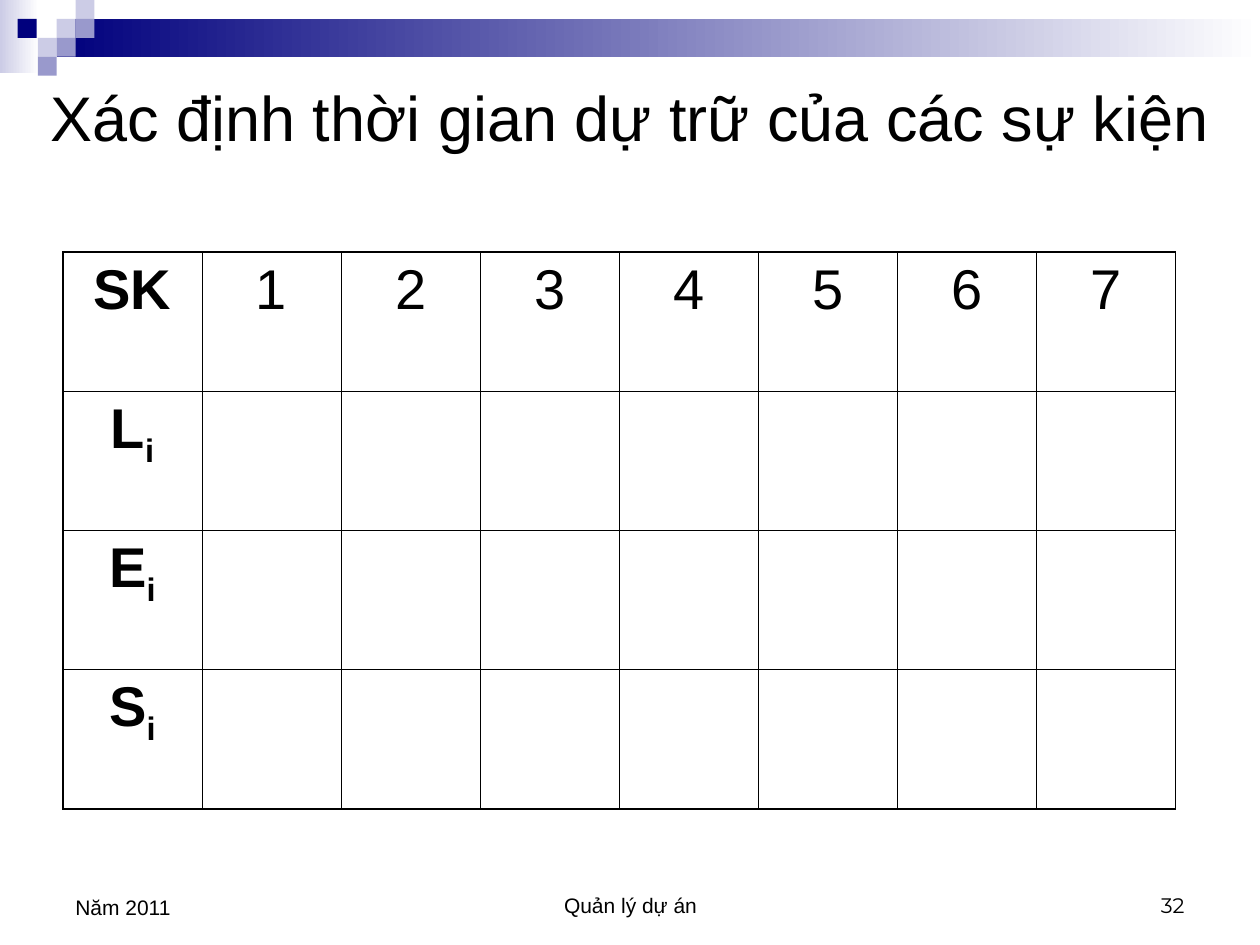
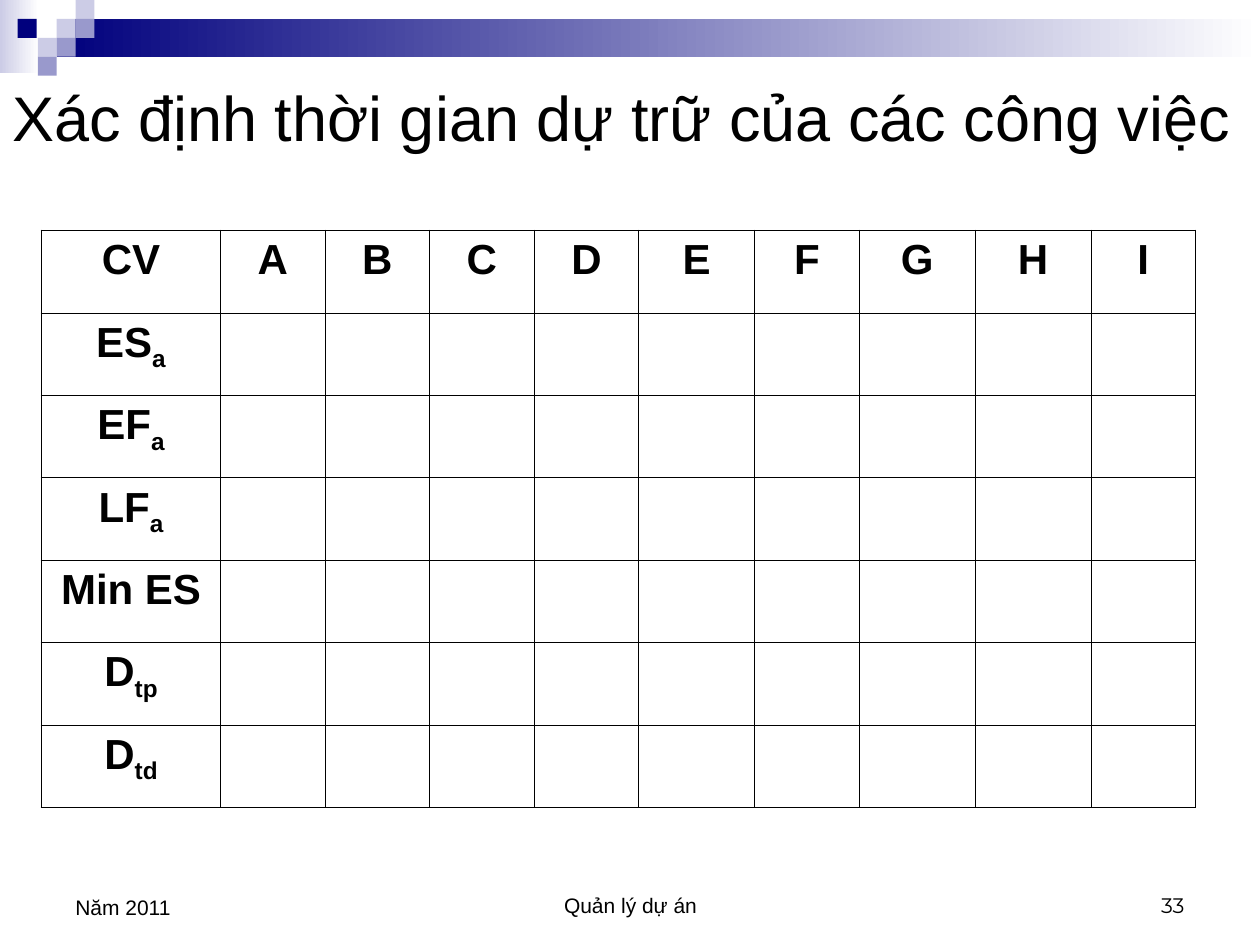
from dataclasses import dataclass

from lxml import etree
from pptx import Presentation
from pptx import util as u
from pptx.dml.color import RGBColor
from pptx.enum import shapes, text
from pptx.oxml import ns


@dataclass(frozen=True)
class Theme:
    ink: str = "000000"
    navy: str = "00007D"
    mid: str = "9999CC"
    pale: str = "CCCCE6"
    white: str = "FFFFFF"
    font: str = "Arial"
    digit: str = "Montserrat"
    title: int = 36
    foot: int = 12
    thick: float = 1.08
    thin: float = 0.45


THEME = Theme()
LEFT, MID, RIGHT = text.PP_ALIGN.LEFT, text.PP_ALIGN.CENTER, text.PP_ALIGN.RIGHT


def write(frame, words, size, font=THEME.font, bold=False, align=LEFT):
    """Write one paragraph; whatever follows an underscore is subscript."""
    para = frame.paragraphs[0]
    para.alignment = align
    for level, part in enumerate(words.split("_")):
        run = para.add_run()
        run.text = part
        run.font.size = u.Pt(size)
        run.font.name = font
        run.font.bold = bold
        run.font.color.rgb = RGBColor.from_string(THEME.ink)
        if level:
            run._r.get_or_add_rPr().set("baseline", "-25000")


def edge(cell, side, width):
    """Draw one border of a table cell."""
    props = cell._tc.get_or_add_tcPr()
    line = etree.SubElement(props, ns.qn(f"a:ln{side}"), w=str(u.Pt(width)))
    fill = etree.SubElement(line, ns.qn("a:solidFill"))
    etree.SubElement(fill, ns.qn("a:srgbClr"), val=THEME.ink)


class Deck:
    def __init__(self, theme):
        self.theme = theme
        self.prs = Presentation()
        self.prs.slide_width = u.Inches(10)
        self.prs.slide_height = u.Inches(7.5)
        self.slide = None

    def rect(self, box, color, fade=None):
        """Add a plain rectangle, fading to a second colour if one is given."""
        shape = self.slide.shapes.add_shape(
            shapes.MSO_SHAPE.RECTANGLE, *map(u.Inches, box))
        shape.shadow.inherit = False
        shape.line.fill.background()
        if fade:
            shape.fill.gradient()
            shape.fill.gradient_angle = 0
            for stop, tone in zip(shape.fill.gradient_stops, (color, fade)):
                stop.color.rgb = RGBColor.from_string(tone)
        else:
            shape.fill.solid()
            shape.fill.fore_color.rgb = RGBColor.from_string(color)

    def label(self, box, words, size, anchor, **style):
        frame = self.slide.shapes.add_textbox(*map(u.Inches, box)).text_frame
        frame.word_wrap = True
        frame.vertical_anchor = anchor
        write(frame, words, size, **style)

    def band(self):
        """Add the fading bars and the small squares at the top."""
        t = self.theme
        self.rect((0, 0, 0.31, 0.58), t.pale, t.white)
        self.rect((0.45, 0.15, 9.55, 0.3), t.navy, t.white)
        squares = ((0.45, 0.15, t.pale), (0.6, 0, t.pale), (0.6, 0.15, t.mid),
                   (0.3, 0.3, t.pale), (0.14, 0.15, t.navy),
                   (0.45, 0.3, t.mid), (0.3, 0.45, t.mid))
        for x, y, color in squares:
            self.rect((x, y, 0.15, 0.15), color)

    def footer(self, number):
        t, low = self.theme, text.MSO_ANCHOR.BOTTOM
        self.label((3.42, 6.83, 3.17, 0.5), "Quản lý dự án", t.foot, low,
                   align=MID)
        self.label((7.17, 6.83, 2.33, 0.5), str(number), t.foot, low,
                   font=t.digit, align=RIGHT)
        self.label((0.5, 6.83, 2.33, 0.52), "Năm 2011", t.foot, low)

    def page(self, title, number, align):
        """Start a slide with its band, footer and title."""
        self.slide = self.prs.slides.add_slide(self.prs.slide_layouts[6])
        self.band()
        self.footer(number)
        self.label((0, 0.17, 10, 1.5), title, self.theme.title,
                   text.MSO_ANCHOR.MIDDLE, align=align)

    def grid(self, left, top, height, widths, heads, names, size, bold):
        """Add a table to fill in: heads along the top, names down the side."""
        rows, cols = len(names), len(widths)
        box = map(u.Inches, (left, top, sum(widths), height))
        table = self.slide.shapes.add_table(rows, cols, *box).table
        table.first_row = table.horz_banding = False
        for col, width in zip(table.columns, widths):
            col.width = u.Inches(width)
        for r in range(rows):
            table.rows[r].height = u.Inches(height / rows)
            for c in range(cols):
                cell = table.cell(r, c)
                outer = {"L": c == 0, "R": c == cols - 1,
                         "T": r == 0, "B": r == rows - 1}
                for side, out in outer.items():
                    edge(cell, side, self.theme.thick if out else self.theme.thin)
                cell.fill.background()
                if c == 0:
                    write(cell.text_frame, names[r], size, bold=True, align=MID)
                elif r == 0:
                    write(cell.text_frame, heads[c - 1], size, bold=bold,
                          align=MID)


def main():
    deck = Deck(THEME)

    # Slack of the events
    deck.page("Xác định thời gian dự trữ của các sự kiện", 32, MID)
    deck.grid(0.5, 2, 4.42, [8.83 / 8] * 8, "1234567",
              ("SK", "L_i", "E_i", "S_i"), size=32, bold=False)

    # Slack of the tasks
    deck.page("Xác định thời gian dự trữ của các công việc", 33, LEFT)
    tasks = "ABCDEFGHI"
    widths = [1.42] + [0.92 if task in "EGH" else 0.83 for task in tasks]
    deck.grid(0.33, 1.83, 4.58, widths, tasks,
              ("CV", "ES_a", "EF_a", "LF_a", "Min ES", "D_tp", "D_td"),
              size=24, bold=True)

    deck.prs.save("out.pptx")


if __name__ == "__main__":
    main()
